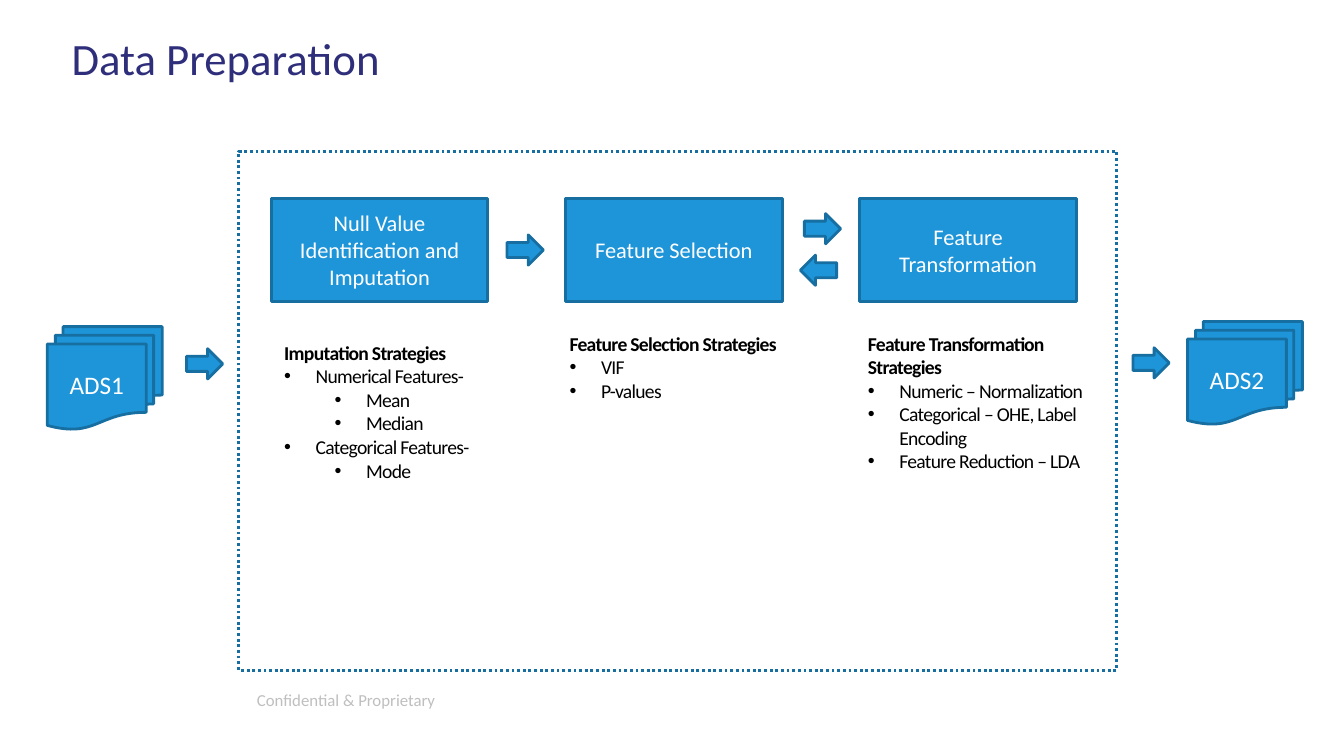
from lxml.etree import SubElement
from pptx import Presentation
from pptx.dml.color import RGBColor
from pptx.enum.dml import MSO_LINE
from pptx.enum.shapes import MSO_SHAPE as Preset
from pptx.enum.text import MSO_ANCHOR as Anchor, MSO_AUTO_SIZE as AutoSize, PP_ALIGN as Align
from pptx.oxml.ns import qn
from pptx.util import Pt

FONT = "Calibri"
COLORS = {
    "title": "2E2E7B",
    "fill": "1F95D9",
    "line": "176EA1",
    "light": "FFFFFF",
    "text": "000000",
    "footer": "BFBFBF",
}
STAGES = ["Null Value Identification and Imputation", "Feature Selection", "Feature Transformation"]
STAGE_LEFT, STAGE_STEP = 193.7, 210.2
# Placeholder index, left, top, width, height, heading, (level, item) pairs
STRATEGIES = [
    (1, 203, 243.4, 137, 214.6, "Imputation Strategies",
     [(0, "Numerical Features-"), (1, "Mean"), (1, "Median"),
      (0, "Categorical Features-"), (1, "Mode")]),
    (2, 406.8, 236.9, 154.8, 151.2, "Feature Selection Strategies",
     [(0, "VIF"), (0, "P-values")]),
    (4, 619.9, 236.9, 154.8, 193, "Feature Transformation Strategies",
     [(0, "Numeric – Normalization"), (0, "Categorical – OHE, Label Encoding"),
      (0, "Feature Reduction – LDA")]),
]
# Left, top, rotation
ARROWS = [(362.2, 167.8, 0), (574.6, 152.6, 0), (571.7, 182.2, 180),
          (133.2, 249.1, 0), (809.3, 248.4, 0)]


def rgb(name):
    return RGBColor.from_string(COLORS[name])


def format_runs(para, size, color, bold=False):
    for span in para.runs:
        span.font.name = FONT
        span.font.size = Pt(size)
        span.font.bold = bold
        span.font.color.rgb = rgb(color)


def place(shape, left, top, width, height):
    shape.left, shape.top = Pt(left), Pt(top)
    shape.width, shape.height = Pt(width), Pt(height)


def clear_frame(frame):
    """Give a placeholder no margins, no autofit and text from the top."""
    frame.margin_left = frame.margin_right = frame.margin_top = frame.margin_bottom = 0
    frame.word_wrap = True
    frame.auto_size = AutoSize.NONE
    frame.vertical_anchor = Anchor.TOP


def add_title(page, text):
    title = page.shapes.title
    place(title, 51.1, 25.9, 864.7, 52.6)
    clear_frame(title.text_frame)
    title.text_frame.text = text
    para = title.text_frame.paragraphs[0]
    para.alignment = Align.LEFT
    para.line_spacing = 0.9
    format_runs(para, 32, "title")


def add_shape(page, preset, left, top, width, height, text="", size=16):
    shape = page.shapes.add_shape(preset, Pt(left), Pt(top), Pt(width), Pt(height))
    shape.shadow.inherit = False
    shape.fill.solid()
    shape.fill.fore_color.rgb = rgb("fill")
    shape.line.color.rgb = rgb("line")
    shape.line.width = Pt(2)
    if text:
        frame = shape.text_frame
        frame.word_wrap = True
        frame.vertical_anchor = Anchor.MIDDLE
        frame.text = text
        frame.paragraphs[0].alignment = Align.CENTER
        format_runs(frame.paragraphs[0], size, "light")
    return shape


def add_frame(page):
    frame = add_shape(page, Preset.RECTANGLE, 170.6, 108, 627.1, 370.8)
    frame.fill.background()
    frame.line.dash_style = MSO_LINE.ROUND_DOT


def set_bullet(para, level):
    """Indent an item by its level, or strip the bullet when level is None."""
    props = para._p.get_or_add_pPr()
    if level is None:
        props.set("marL", "0")
        props.set("indent", "0")
        SubElement(props, qn("a:buNone"))
        return
    para.level = level
    props.set("marL", str(Pt(22.5 + 36 * level)))
    props.set("indent", str(Pt(-22.5)))
    SubElement(props, qn("a:buFont")).set("typeface", "Arial")
    SubElement(props, qn("a:buChar")).set("char", "•")


def add_strategies(page, index, left, top, width, height, heading, items):
    body = page.placeholders[index]
    place(body, left, top, width, height)
    frame = body.text_frame
    clear_frame(frame)
    for number, (level, text) in enumerate([(None, heading), *items]):
        para = frame.add_paragraph() if number else frame.paragraphs[0]
        para.text = text
        para.alignment = Align.LEFT
        para.line_spacing = 1.0
        para.space_before = para.space_after = Pt(0)
        set_bullet(para, level)
        format_runs(para, 14, "text", bold=level is None)
        for span in para.runs:
            span._r.get_or_add_rPr().set("spc", "-50")


def add_footer(page, text):
    box = page.shapes.add_textbox(Pt(176.4), Pt(485.3), Pt(324), Pt(28.8))
    box.text_frame.word_wrap = True
    box.text_frame.vertical_anchor = Anchor.MIDDLE
    box.text_frame.text = text
    format_runs(box.text_frame.paragraphs[0], 12, "footer")


def main():
    deck = Presentation()
    deck.slide_width, deck.slide_height = Pt(960), Pt(540)
    page = deck.slides.add_slide(deck.slide_layouts.get_by_name("Comparison"))

    add_title(page, "Data Preparation")
    add_frame(page)
    for number, stage in enumerate(STAGES):
        add_shape(page, Preset.RECTANGLE, STAGE_LEFT + number * STAGE_STEP, 141.8, 154.8, 73.4, stage)
    for strategy in STRATEGIES:
        add_strategies(page, *strategy)
    for name, left, top in [("ADS1", 33.8, 233.3), ("ADS2", 848.2, 229.7)]:
        add_shape(page, Preset.FLOWCHART_MULTIDOCUMENT, left, top, 82.1, 73.4, name, 18)
    for left, top, rotation in ARROWS:
        add_shape(page, Preset.RIGHT_ARROW, left, top, 25.9, 21.6).rotation = rotation
    add_footer(page, "Confidential & Proprietary")

    unused = page.placeholders[3].element
    unused.getparent().remove(unused)
    deck.save("out.pptx")


if __name__ == "__main__":
    main()
